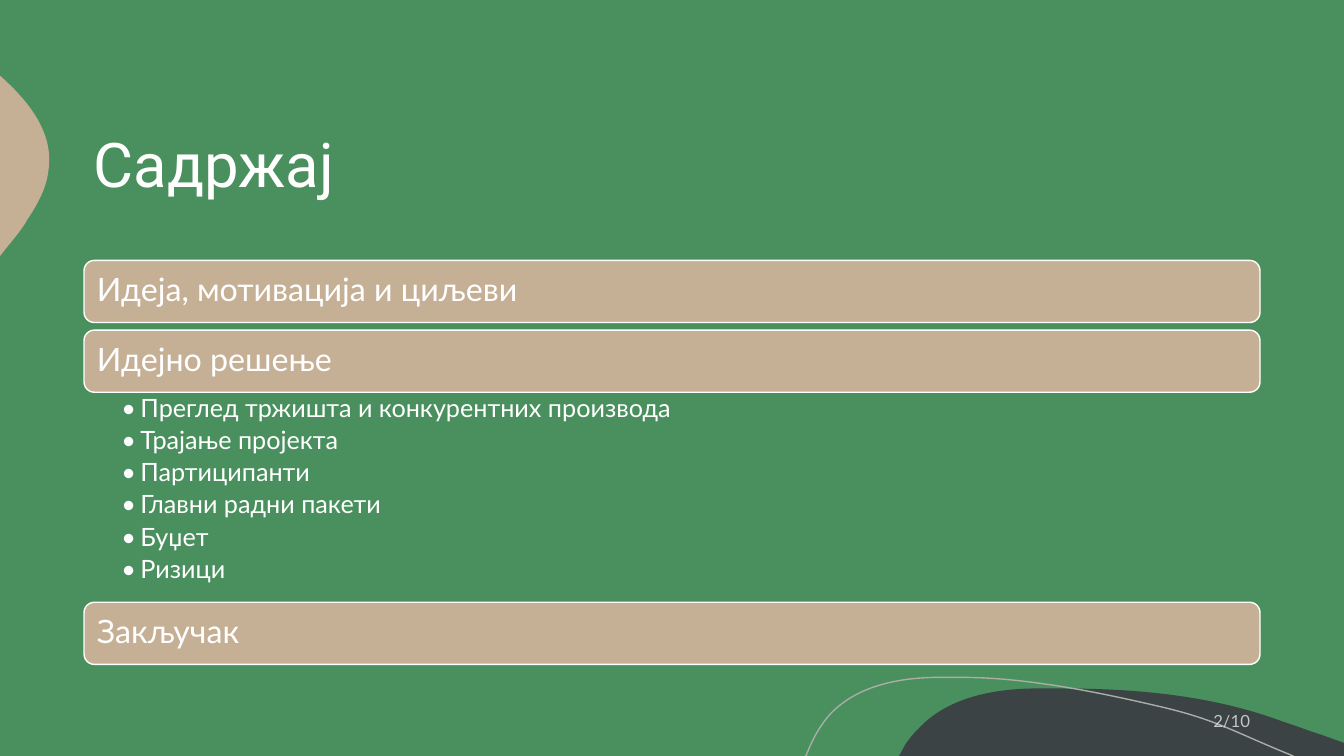
from dataclasses import dataclass

from lxml import etree
from pptx import Presentation
from pptx.dml.color import RGBColor
from pptx.enum.shapes import MSO_SHAPE
from pptx.enum.text import MSO_ANCHOR, PP_ALIGN
from pptx.oxml.ns import qn
from pptx.shapes.autoshape import Shape
from pptx.slide import Slide
from pptx.util import Inches, Pt

ROUNDED = MSO_SHAPE.ROUNDED_RECTANGLE
TOP, MIDDLE = MSO_ANCHOR.TOP, MSO_ANCHOR.MIDDLE
LEFT, RIGHT = PP_ALIGN.LEFT, PP_ALIGN.RIGHT

PAGE_WIDTH, PAGE_HEIGHT = Inches(13.333), Inches(7.5)
COLUMN, ROW = PAGE_WIDTH / 16, PAGE_HEIGHT / 9
BULLET_INDENT = Inches(0.19)

Point = tuple[float, float]


@dataclass(frozen=True)
class Theme:
    green: RGBColor = RGBColor(0x4A, 0x90, 0x5E)
    sand: RGBColor = RGBColor(0xC5, 0xB0, 0x96)
    charcoal: RGBColor = RGBColor(0x3B, 0x43, 0x45)
    mist: RGBColor = RGBColor(0xA9, 0xAE, 0xA7)
    white: RGBColor = RGBColor(0xFF, 0xFF, 0xFF)
    heading_font: str = "Roboto"
    body_font: str = "Lato"
    title_size: float = 44
    topic_size: float = 23
    bullet_size: float = 18
    number_size: float = 12


THEME = Theme()


@dataclass(frozen=True)
class Area:
    column: float
    row: float
    columns: float
    rows: float

    def bounds(self) -> tuple[int, int, int, int]:
        return (round(self.column * COLUMN), round(self.row * ROW),
                round(self.columns * COLUMN), round(self.rows * ROW))


@dataclass(frozen=True)
class TextStyle:
    size: float
    font: str = THEME.body_font
    align: PP_ALIGN = LEFT
    anchor: MSO_ANCHOR = MIDDLE
    line_spacing: float = 0.9
    space_after: float = 0
    insets: tuple[float, float, float, float] = (0.1, 0.05, 0.1, 0.05)


@dataclass(frozen=True)
class Outline:
    start: Point
    steps: tuple[tuple[Point, ...], ...]
    width: float
    fill: RGBColor | None = None
    line: RGBColor | None = None


@dataclass(frozen=True)
class Topic:
    text: str
    row: float


TITLE = TextStyle(THEME.title_size, THEME.heading_font)
TOPIC = TextStyle(THEME.topic_size, insets=(0.1, 0.1, 0.1, 0.1))
BULLETS = TextStyle(THEME.bullet_size, anchor=TOP, space_after=3.6,
                    insets=(0.37, 0.03, 0.18, 0.03))
NUMBER = TextStyle(THEME.number_size, align=RIGHT, line_spacing=1)

OUTLINES = (
    Outline((79.05, 91.07), (
        ((84.6, 91.07), (90.3, 92), (95.48, 95.47)),
        ((96.45, 96), (97.35, 96.67), (98.33, 97.2)),
        ((100, 98.27),), ((100, 100),), ((66.9, 100),), ((67.35, 98.53),),
        ((67.65, 97.73), (67.95, 97.07), (68.33, 96.4)),
        ((70.43, 92.4), (73.65, 91.2), (76.73, 91.07)),
        ((77.48, 91.07), (78.3, 91.07), (79.05, 91.07)),
    ), width=33.1, fill=THEME.charcoal),
    Outline((0, 10), (
        ((0.08, 10.13),),
        ((2.25, 13.6), (4.05, 17.73), (3.6, 22.67)),
        ((3.45, 24.93), (2.78, 27.07), (2.03, 29.07)),
        ((1.8, 29.87), (1.28, 31.07), (0.6, 32.53)),
        ((0, 33.87),),
    ), width=3.68, fill=THEME.sand),
    Outline((59.93, 100), (
        ((60, 99.87),),
        ((60.45, 97.73), (61.05, 95.87), (61.8, 94.4)),
        ((63.75, 90.8), (66.68, 89.73), (69.45, 89.6)),
        ((71.63, 89.6),),
        ((76.65, 89.6), (82.5, 91.87), (86.63, 93.6)),
        ((90.68, 95.33), (91.95, 96.93), (96.23, 100)),
    ), width=36.3, line=THEME.mist),
)
TOPICS = (
    Topic("Идеја, мотивација и циљеви", 3.1),
    Topic("Идејно решење", 3.93),
    Topic("Закључак", 7.17),
)
SUBTOPICS = (
    "Преглед тржишта и конкурентних производа",
    "Трајање пројекта",
    "Партиципанти",
    "Главни радни пакети",
    "Буџет",
    "Ризици",
)


def paint(shape: Shape, fill: RGBColor | None, line: RGBColor | None) -> None:
    shape.shadow.inherit = False
    if fill is None:
        shape.fill.background()
    else:
        shape.fill.solid()
        shape.fill.fore_color.rgb = fill
    if line is None:
        shape.line.fill.background()
    else:
        shape.line.color.rgb = line
        shape.line.width = Pt(1)


def draw_outline(page: Slide, outline: Outline) -> None:
    points = [outline.start, *(point for step in outline.steps for point in step)]
    places = [(round(x * PAGE_WIDTH / 100), round(y * PAGE_HEIGHT / 100)) for x, y in points]
    builder = page.shapes.build_freeform(*places[0])
    builder.add_line_segments(places[1:], close=outline.fill is not None)
    shape = builder.convert_to_shape()
    bend(shape, outline)
    paint(shape, outline.fill, outline.line)


def bend(shape: Shape, outline: Outline) -> None:
    contour = next(shape._element.iter(qn("a:path")))
    segments = iter(contour.findall(qn("a:lnTo")))
    for step in outline.steps:
        group = [next(segments) for _ in step]
        if len(group) == 3:
            curve = etree.Element(qn("a:cubicBezTo"))
            group[0].addprevious(curve)
            for segment in group:
                curve.append(segment[0])
                contour.remove(segment)
    shape.width = round(outline.width * PAGE_WIDTH / 100)
    contour.set("w", str(shape.width))


def write(box: Shape, text: str, style: TextStyle) -> None:
    frame = box.text_frame
    frame.text = text
    frame.word_wrap = True
    frame.vertical_anchor = style.anchor
    (frame.margin_left, frame.margin_top,
     frame.margin_right, frame.margin_bottom) = map(Inches, style.insets)
    for para in frame.paragraphs:
        para.alignment = style.align
        para.line_spacing = style.line_spacing
        para.space_after = Pt(style.space_after)
        for span in para.runs:
            span.font.name = style.font
            span.font.size = Pt(style.size)
            span.font.color.rgb = THEME.white


def add_text(page: Slide, area: Area, text: str, style: TextStyle) -> Shape:
    box = page.shapes.add_textbox(*area.bounds())
    write(box, text, style)
    return box


def draw_topic(page: Slide, topic: Topic) -> None:
    bar = page.shapes.add_shape(ROUNDED, *Area(1, topic.row, 14, 0.74).bounds())
    paint(bar, THEME.sand, THEME.white)
    write(bar, topic.text, TOPIC)


def add_bullets(box: Shape) -> None:
    for para in box.text_frame.paragraphs:
        properties = para._p.get_or_add_pPr()
        properties.set("marL", str(BULLET_INDENT))
        properties.set("indent", str(-BULLET_INDENT))
        etree.SubElement(properties, qn("a:buFont"), typeface=THEME.body_font)
        etree.SubElement(properties, qn("a:buChar"), char="•")


def fade(box: Shape, percent: int) -> None:
    for color in box._element.iter(qn("a:srgbClr")):
        etree.SubElement(color, qn("a:alpha"), val=str(percent * 1000))


def main() -> None:
    deck = Presentation()
    deck.slide_width, deck.slide_height = PAGE_WIDTH, PAGE_HEIGHT
    page = deck.slides.add_slide(deck.slide_layouts[6])
    page.background.fill.solid()
    page.background.fill.fore_color.rgb = THEME.green
    for outline in OUTLINES:
        draw_outline(page, outline)
    add_text(page, Area(1, 1, 14, 2), "Садржај", TITLE)
    for topic in TOPICS:
        draw_topic(page, topic)
    add_bullets(add_text(page, Area(1, 4.67, 14, 2.5), "\n".join(SUBTOPICS), BULLETS))
    fade(add_text(page, Area(13, 8.34, 2, 0.48), "2/10", NUMBER), 70)
    deck.save("out.pptx")


if __name__ == "__main__":
    main()
